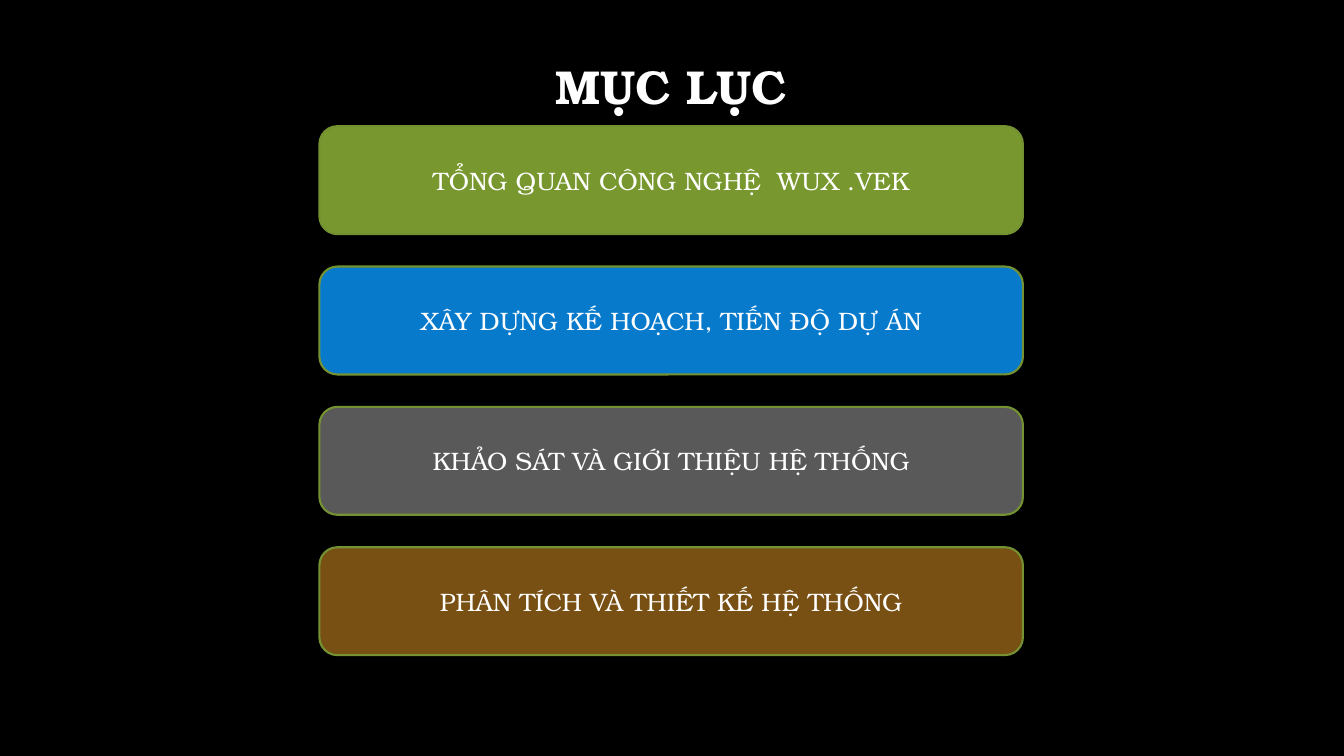
from pptx import Presentation
from pptx.dml.color import RGBColor
from pptx.enum.shapes import MSO_SHAPE as Shape
from pptx.enum.text import MSO_ANCHOR as Anchor, PP_ALIGN as Align
from pptx.util import Cm, Pt

FONT = "TeX Gyre Bonum"
BLACK = RGBColor(0x00, 0x00, 0x00)
WHITE = RGBColor(0xFF, 0xFF, 0xFF)
OUTLINE = RGBColor(0x75, 0x92, 0x32)
GREEN = RGBColor(0x78, 0x98, 0x2F)
BLUE = RGBColor(0x07, 0x7A, 0xCC)
GREY = RGBColor(0x59, 0x59, 0x59)
BROWN = RGBColor(0x79, 0x50, 0x14)

TOPICS = [
    ("TỔNG QUAN CÔNG NGHỆ  WUX .VEK", GREEN),
    ("XÂY DỰNG KẾ HOẠCH, TIẾN ĐỘ DỰ ÁN", BLUE),
    ("KHẢO SÁT VÀ GIỚI THIỆU HỆ THỐNG", GREY),
    ("PHÂN TÍCH VÀ THIẾT KẾ HỆ THỐNG", BROWN),
]


def write_text(shape, text, size, bold=False):
    """Write one centred white line in the middle of a shape."""
    text_frame = shape.text_frame
    text_frame.text = text
    text_frame.word_wrap = True
    text_frame.vertical_anchor = Anchor.MIDDLE
    paragraph = text_frame.paragraphs[0]
    paragraph.alignment = Align.CENTER
    font = paragraph.runs[0].font
    font.name, font.size, font.bold = FONT, Pt(size), bold
    font.color.rgb = WHITE


def place_title(slide, text, left, top, width, height):
    """Move the title placeholder into the given box and fill it."""
    title = slide.shapes.title
    title.left, title.top, title.width, title.height = left, top, width, height
    write_text(title, text, 34, bold=True)
    title.text_frame.paragraphs[0].line_spacing = 0.9


def add_topics(slide, topics, left, top, width, height):
    """Stack one rounded bar per topic, evenly spaced over the given box."""
    bar_height = Cm(2.72)
    pitch = (height - bar_height) // (len(topics) - 1)
    for index, (text, color) in enumerate(topics):
        bar = slide.shapes.add_shape(
            Shape.ROUNDED_RECTANGLE, left, top + index * pitch, width, bar_height)
        bar.shadow.inherit = False
        bar.fill.solid()
        bar.fill.fore_color.rgb = color
        bar.line.color.rgb = OUTLINE
        bar.line.width = Pt(1.5)
        write_text(bar, text, 18)


def add_contents_slide(presentation):
    """Add the table of contents on a black background."""
    slide = presentation.slides.add_slide(presentation.slide_layouts[5])
    slide.background.fill.solid()
    slide.background.fill.fore_color.rgb = BLACK
    place_title(slide, "MỤC LỤC", Cm(2.54), Cm(0.41), Cm(28.75), Cm(3.68))
    add_topics(slide, TOPICS, Cm(8.05), Cm(3.18), Cm(17.73), Cm(13.33))


def main():
    """Build and save the presentation."""
    presentation = Presentation()
    presentation.slide_width = Cm(33.87)
    presentation.slide_height = Cm(19.05)
    add_contents_slide(presentation)
    presentation.save("out.pptx")


if __name__ == "__main__":
    main()
